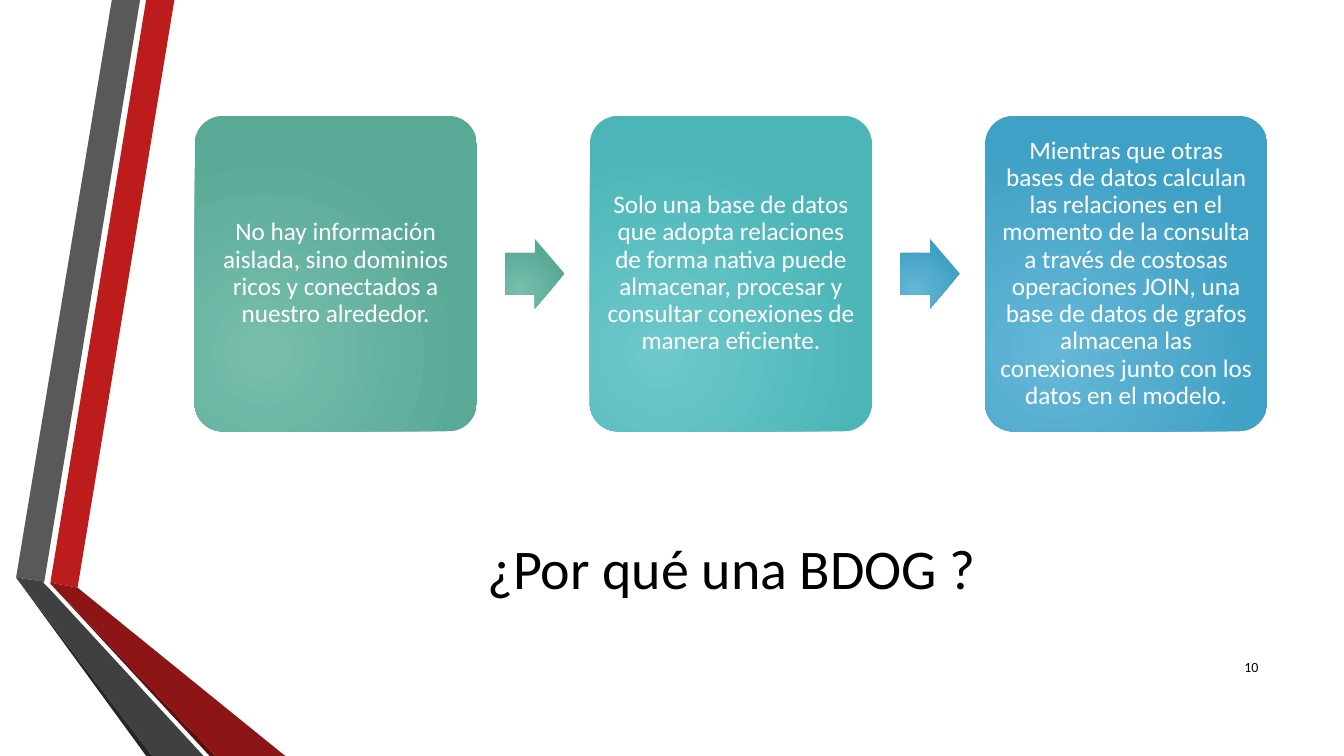
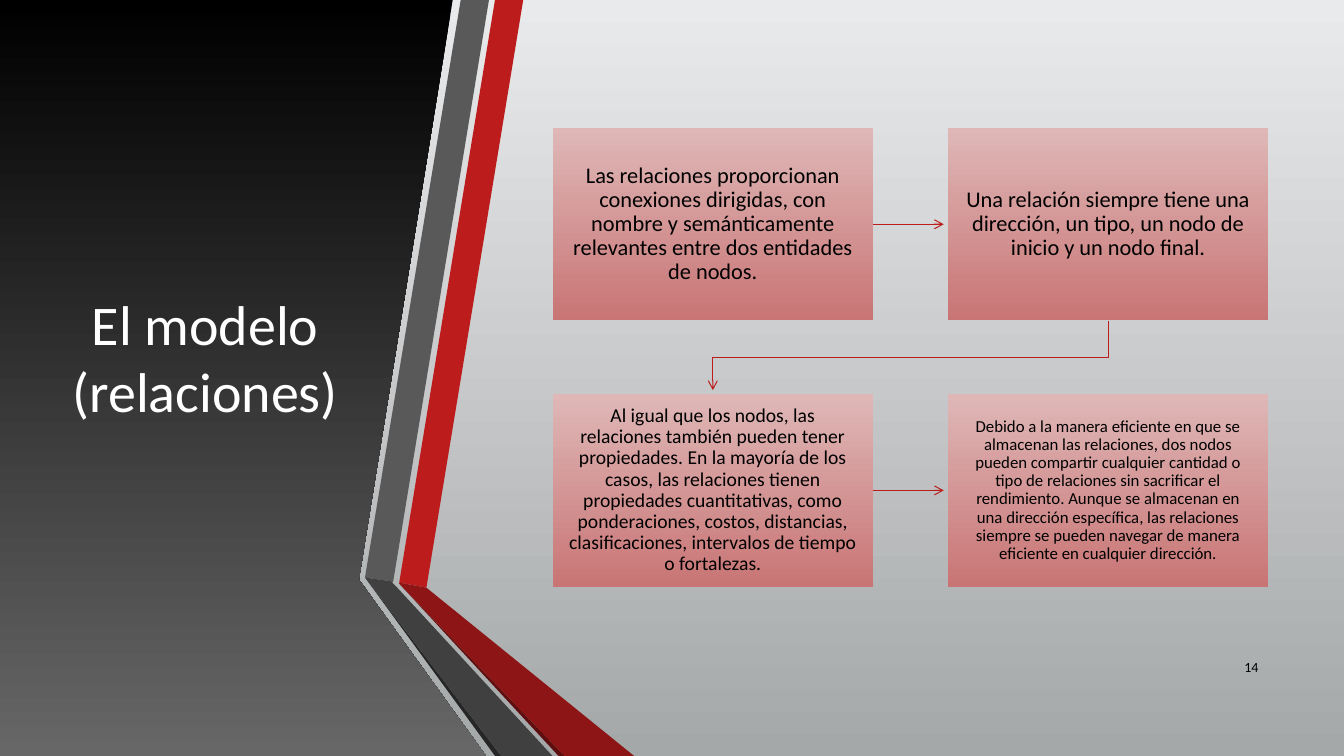
from dataclasses import dataclass

from lxml import etree
from pptx import Presentation
from pptx import util as u
from pptx.dml.color import RGBColor
from pptx.enum import shapes, text
from pptx.oxml.ns import qn


@dataclass(frozen=True)
class Theme:
    font: str = "Calibri"
    title_size: int = 40
    number_size: int = 10
    black: str = "000000"
    white: str = "FFFFFF"
    red: str = "BC1C1C"
    dark_red: str = "8D1515"
    deep_red: str = "5E0E0E"
    gray: str = "595959"
    dark_gray: str = "404040"
    deep_gray: str = "262626"
    backdrop: tuple = ("E9EAEB", "A5A8A9")
    panel: tuple = ("000000", "676767")
    pink: tuple = ("DFB7B7", "C97575")
    steps: tuple = (("78BEAD", "58A996"), ("6EC9CB", "4BB5B7"), ("65B7D7", "3FA1C5"))


@dataclass(frozen=True)
class Grid:
    """Equal cells, in inches; a pitch runs from one cell's start to the next."""
    left: float
    top: float
    width: float
    height: float
    column_pitch: float = 3.92
    row_pitch: float = 2.64

    def cell(self, column, row=0):
        return (self.left + column * self.column_pitch,
                self.top + row * self.row_pitch, self.width, self.height)


THEME = Theme()
WIDTH, HEIGHT = 13.33, 7.5
STEP_GRID = Grid(1.93, 1.15, 2.8, 3.13)
CARD_GRID = Grid(5.48, 1.27, 3.18, 1.91)
PANEL_RIBBON_SHIFT = 3.46
ARROW_GAP = 0.04

RIBBON = (
    (THEME.red, ((0.5, 5.78), (0.77, 5.83), (1.73, 0), (1.45, 0))),
    (THEME.gray, ((1.39, 0), (1.11, 0), (0.16, 5.73), (0.44, 5.77))),
    (THEME.deep_gray, ((0.16, 5.73), (1.45, HEIGHT), (1.51, HEIGHT))),
    (THEME.deep_red, ((0.5, 5.79), (2.08, HEIGHT), (2.14, HEIGHT))),
    (THEME.dark_red, ((0.5, 5.78), (0.5, 5.79), (2.14, HEIGHT), (2.83, HEIGHT), (0.77, 5.83))),
    (THEME.dark_gray, ((2.02, HEIGHT), (0.48, 5.83), (0.43, 5.78), (0.44, 5.77),
                       (0.16, 5.73), (1.51, HEIGHT))),
)
PANEL = ((0, 0), (4.49, 0), (3.56, 5.75), (4.82, HEIGHT), (0, HEIGHT))

STEPS = (
    "No hay información aislada, sino dominios ricos y conectados a nuestro alrededor.",
    "Solo una base de datos que adopta relaciones de forma nativa puede almacenar, "
    "procesar y consultar conexiones de manera eficiente.",
    "Mientras que otras bases de datos calculan las relaciones en el momento de la consulta "
    "a través de costosas operaciones JOIN, una base de datos de grafos almacena las "
    "conexiones junto con los datos en el modelo.",
)
CARDS = (
    ("Las relaciones proporcionan conexiones dirigidas, con nombre y semánticamente "
     "relevantes entre dos entidades de nodos.", 16),
    ("Una relación siempre tiene una dirección, un tipo, un nodo de inicio y un nodo final.", 16),
    ("Al igual que los nodos, las relaciones también pueden tener propiedades. En la mayoría "
     "de los casos, las relaciones tienen propiedades cuantitativas, como ponderaciones, "
     "costos, distancias, clasificaciones, intervalos de tiempo o fortalezas.", 14),
    ("Debido a la manera eficiente en que se almacenan las relaciones, dos nodos pueden "
     "compartir cualquier cantidad o tipo de relaciones sin sacrificar el rendimiento. Aunque "
     "se almacenan en una dirección específica, las relaciones siempre se pueden navegar de "
     "manera eficiente en cualquier dirección.", 12),
)


def inches(*lengths):
    return [u.Inches(length) for length in lengths]


def fill_gradient(fill, colors):
    """Run from the first colour at the top to the last at the bottom."""
    fill.gradient()
    fill.gradient_angle = 270
    for stop, color in zip(fill.gradient_stops, colors):
        stop.color.rgb = RGBColor.from_string(color)


def make_radial(shape):
    """Turn the shape's gradient into a glow from its lower left."""
    gradient = shape._element.spPr.find(qn("a:gradFill"))
    gradient.remove(gradient.find(qn("a:lin")))
    glow = etree.SubElement(gradient, qn("a:path"))
    glow.set("path", "circle")
    center = etree.SubElement(glow, qn("a:fillToRect"))
    for side, share in zip("ltrb", (50, 100, 100, 50)):
        center.set(side, str(share * 1000))


def set_text(shape, words, size, color, align=text.PP_ALIGN.CENTER, inset=None, spacing=None):
    frame = shape.text_frame
    frame.text = words
    frame.word_wrap = True
    frame.auto_size = text.MSO_AUTO_SIZE.NONE
    frame.vertical_anchor = text.MSO_ANCHOR.MIDDLE
    if inset is not None:
        frame.margin_left = frame.margin_right = u.Inches(inset)
        frame.margin_top = frame.margin_bottom = u.Inches(inset)
    paragraph = frame.paragraphs[0]
    paragraph.alignment = align
    paragraph.line_spacing = spacing
    font = paragraph.runs[0].font
    font.name, font.size = THEME.font, u.Pt(size)
    font.color.rgb = RGBColor.from_string(color)


def add_outline(slide, points, closed=True):
    start, *rest = [inches(*point) for point in points]
    builder = slide.shapes.build_freeform(*start)
    builder.add_line_segments(rest, close=closed)
    shape = builder.convert_to_shape()
    shape.shadow.inherit = False
    return shape


def add_ribbon(slide, shift=0):
    for color, points in RIBBON:
        band = add_outline(slide, [(x + shift, y) for x, y in points])
        band.fill.solid()
        band.fill.fore_color.rgb = RGBColor.from_string(color)
        band.line.fill.background()


def add_gradient_shape(slide, kind, box, colors):
    shape = slide.shapes.add_shape(kind, *inches(*box))
    shape.shadow.inherit = False
    shape.line.fill.background()
    fill_gradient(shape.fill, colors)
    return shape


def style_arrow(line_shape):
    line_shape.line.color.rgb = RGBColor.from_string(THEME.red)
    line_shape.line.width = u.Pt(0.75)
    outline = line_shape._element.spPr.find(qn("a:ln"))
    etree.SubElement(outline, qn("a:tailEnd")).set("type", "arrow")


def add_arrow_right(slide, card, target_left):
    middle = card.top + card.height // 2
    arrow = slide.shapes.add_connector(
        shapes.MSO_CONNECTOR.STRAIGHT, card.left + card.width, middle,
        u.Inches(target_left - ARROW_GAP), middle)
    arrow.begin_connect(card, 3)
    style_arrow(arrow)
    etree.SubElement(arrow._element.spPr, qn("a:effectLst"))


def add_arrow_to_next_row(slide):
    left, top, width, height = CARD_GRID.cell(1)
    target_left, target_top, _, _ = CARD_GRID.cell(0, 1)
    start_x, end_x = left + width / 2, target_left + width / 2
    bottom = top + height
    turn = (bottom + target_top) / 2
    arrow = add_outline(slide, ((start_x, bottom), (start_x, turn), (end_x, turn),
                                (end_x, target_top - ARROW_GAP)), closed=False)
    arrow.fill.background()
    style_arrow(arrow)


def place_title(slide, words, box, color):
    """Format the title and bring it in front of the shapes drawn so far."""
    title = slide.shapes.title
    title.left, title.top, title.width, title.height = inches(*box)
    set_text(title, words, THEME.title_size, color)
    title._element.getparent().append(title._element)


def add_slide_number(slide, number):
    box = slide.shapes.add_textbox(*inches(11.98, 6.42, 0.6, 0.4))
    set_text(box, str(number), THEME.number_size, THEME.black, text.PP_ALIGN.RIGHT)


def add_steps(slide):
    arrow_width, arrow_height = 0.59, 0.69
    for column, (words, colors) in enumerate(zip(STEPS, THEME.steps)):
        left, top, width, height = box = STEP_GRID.cell(column)
        step = add_gradient_shape(slide, shapes.MSO_SHAPE.ROUNDED_RECTANGLE, box, colors)
        step.adjustments[0] = 0.1
        make_radial(step)
        set_text(step, words, 18, THEME.white, inset=0.07, spacing=0.9)
        if column < len(STEPS) - 1:
            arrow_box = (left + width * 1.1, top + (height - arrow_height) / 2,
                         arrow_width, arrow_height)
            arrow = add_gradient_shape(slide, shapes.MSO_SHAPE.RIGHT_ARROW, arrow_box,
                                       THEME.steps[column * 2])
            arrow.adjustments[0] = 0.6
            make_radial(arrow)


def add_cards(slide):
    for index, (words, size) in enumerate(CARDS):
        row, column = divmod(index, 2)
        card = add_gradient_shape(slide, shapes.MSO_SHAPE.RECTANGLE,
                                  CARD_GRID.cell(column, row), THEME.pink)
        set_text(card, words, size, THEME.black, inset=0.16, spacing=0.9)
        if column == 0:
            add_arrow_right(slide, card, CARD_GRID.cell(1, row)[0])
    add_arrow_to_next_row(slide)


def build_reasons(slide):
    add_ribbon(slide)
    place_title(slide, "¿Por qué una BDOG ?", (1.93, 4.87, 10.65, 1.51), THEME.black)
    add_steps(slide)
    add_slide_number(slide, 10)


def build_relations(slide):
    fill_gradient(slide.background.fill, THEME.backdrop)
    panel = add_outline(slide, PANEL)
    panel.line.fill.background()
    fill_gradient(panel.fill, THEME.panel)
    place_title(slide, "El modelo (relaciones)", (0.59, 0.75, 2.89, 5.58), THEME.white)
    add_ribbon(slide, PANEL_RIBBON_SHIFT)
    add_cards(slide)
    add_slide_number(slide, 14)


def main():
    presentation = Presentation()
    presentation.slide_width, presentation.slide_height = inches(WIDTH, HEIGHT)
    title_only = presentation.slide_layouts[5]
    for build in (build_reasons, build_relations):
        build(presentation.slides.add_slide(title_only))
    presentation.save("out.pptx")


if __name__ == "__main__":
    main()
